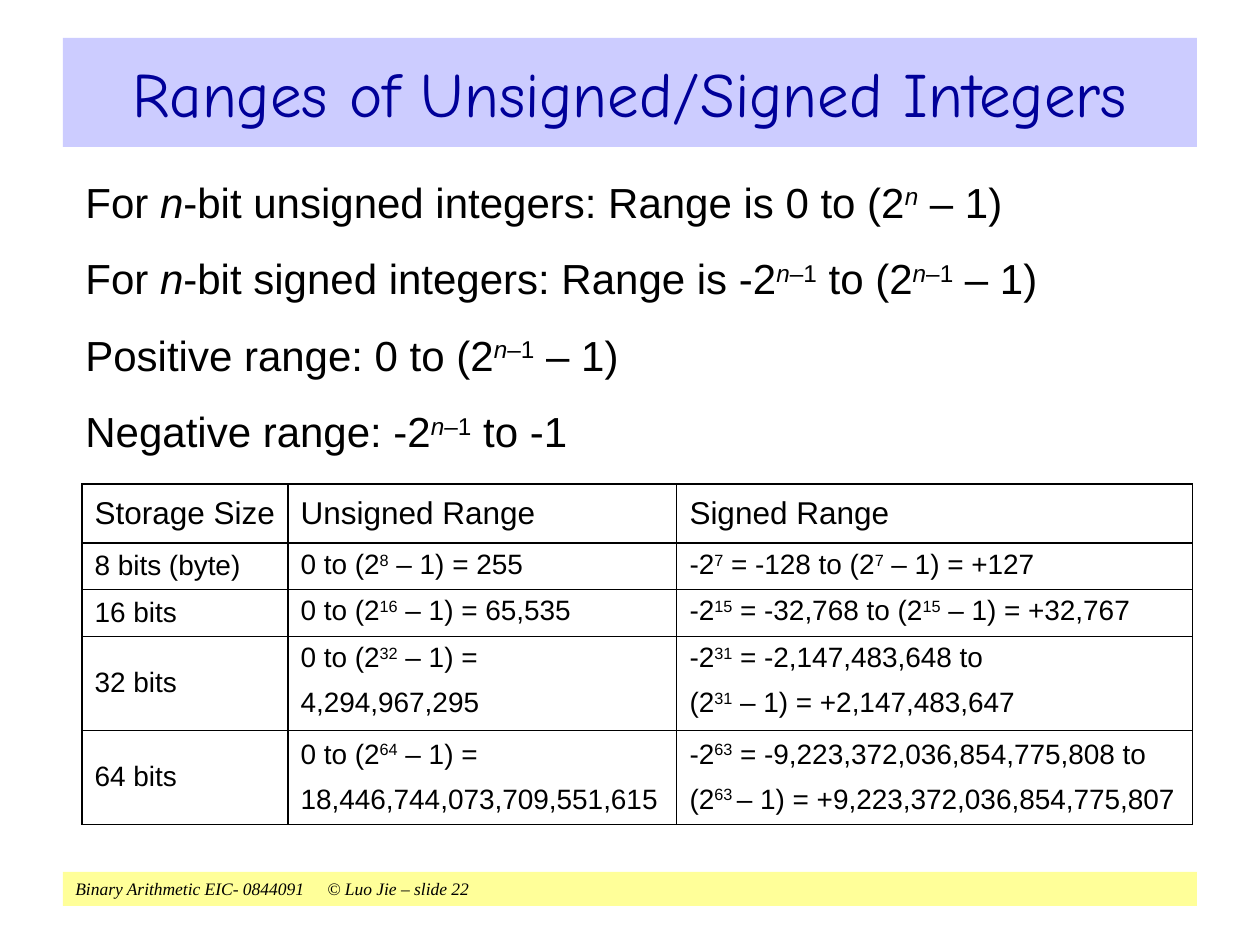
from lxml.etree import SubElement
from pptx import Presentation
from pptx.dml.color import RGBColor
from pptx.enum.shapes import MSO_SHAPE as Shape
from pptx.enum.text import MSO_ANCHOR as Anchor, PP_ALIGN as Align
from pptx.oxml.ns import qn
from pptx.util import Emu, Pt

PX = 914400 // 126
THEME = {
    "ink": "000000", "title": "000099", "title_band": "CCCCFF", "footer_band": "FFFF99",
    "title_font": "Comic Neue", "body_font": "Arial", "footer_font": "Times New Roman",
    "title_size": 36, "body_size": 24, "header_size": 18, "cell_size": 16, "footer_size": 10,
}


def px(*lengths):
    return [Emu(length * PX) for length in lengths]


def write(frame, text, *, size, font=THEME["body_font"], color=THEME["ink"],
          italic=False, align=Align.LEFT, before=0):
    """Fill a text frame; ^ switches superscript on and off, _ switches italics."""
    frame.word_wrap = True
    for index, line in enumerate(text.split("\n")):
        paragraph = frame.paragraphs[0] if index == 0 else frame.add_paragraph()
        paragraph.alignment = align
        paragraph.space_before = Pt(before)
        for level, part in enumerate(line.split("^")):
            for slant, piece in enumerate(part.split("_")):
                if not piece:
                    continue
                run = paragraph.add_run()
                run.text = piece
                run.font.name = font
                run.font.size = Pt(size)
                run.font.color.rgb = RGBColor.from_string(color)
                run.font.italic = italic or slant % 2 == 1
                if level % 2:
                    run.font._element.set("baseline", "30000")


presentation = Presentation()
presentation.slide_width, presentation.slide_height = px(1260, 945)
slide = presentation.slides.add_slide(presentation.slide_layouts[6])

# Footer and title bands
bands = []
for top, height, fill in ((872, 34, "footer_band"), (38, 109, "title_band")):
    band = slide.shapes.add_shape(Shape.RECTANGLE, *px(63, top, 1134, height))
    band.shadow.inherit = False
    band.fill.solid()
    band.fill.fore_color.rgb = RGBColor.from_string(THEME[fill])
    band.line.fill.background()
    bands.append(band.text_frame)
footer, title = bands

footer.vertical_anchor = Anchor.TOP
write(footer, "Binary Arithmetic EIC- 0844091\t© Luo Jie – slide 22", italic=True,
      size=THEME["footer_size"], font=THEME["footer_font"], before=6.2)
tabs = SubElement(footer.paragraphs[0]._p.get_or_add_pPr(), qn("a:tabLst"))
SubElement(tabs, qn("a:tab"), pos=str(252 * PX), algn="l")

title.vertical_anchor = Anchor.MIDDLE
write(title, "Ranges of Unsigned/Signed Integers", size=THEME["title_size"],
      font=THEME["title_font"], color=THEME["title"], align=Align.CENTER)

# Range formulas
formulas = slide.shapes.add_textbox(*px(73, 157, 1113, 319)).text_frame
formulas.margin_top, formulas.margin_bottom = px(19, 19)
write(formulas, "For _n_-bit unsigned integers: Range is 0 to (2^_n_^ – 1)\n"
      "For _n_-bit signed integers: Range is -2^_n_–1^ to (2^_n_–1^ – 1)\n"
      "Positive range: 0 to (2^_n_–1^ – 1)\n"
      "Negative range: -2^_n_–1^ to -1", size=THEME["body_size"], before=15)

# Table of ranges by storage size
ROWS = [
    ("Storage Size", "Unsigned Range", "Signed Range"),
    ("8 bits (byte)", "0 to (2^8^ – 1) = 255", "-2^7^ = -128 to (2^7^ – 1) = +127"),
    ("16 bits", "0 to (2^16^ – 1) = 65,535", "-2^15^ = -32,768 to (2^15^ – 1) = +32,767"),
    ("32 bits", "0 to (2^32^ – 1) =\n4,294,967,295",
     "-2^31^ = -2,147,483,648 to\n(2^31^ – 1) = +2,147,483,647"),
    ("64 bits", "0 to (2^64^ – 1) =\n18,446,744,073,709,551,615",
     "-2^63^ = -9,223,372,036,854,775,808 to\n(2^63 ^– 1) = +9,223,372,036,854,775,807"),
]
WIDTHS = px(206, 389, 516)
HEIGHTS = px(59, 46, 47, 94, 94)
table = slide.shapes.add_table(len(ROWS), len(WIDTHS), *px(82, 484),
                               sum(WIDTHS), sum(HEIGHTS)).table
table.first_row = table.horz_banding = False
for column, width in zip(table.columns, WIDTHS):
    column.width = width

for row_index, texts in enumerate(ROWS):
    table.rows[row_index].height = HEIGHTS[row_index]
    header = row_index == 0
    for column_index, text in enumerate(texts):
        cell = table.cell(row_index, column_index)
        top_aligned = column_index > 0 and row_index in (1, 2, 3)
        cell.vertical_anchor = Anchor.TOP if top_aligned else Anchor.MIDDLE
        write(cell.text_frame, text, before=9 if header else 8,
              size=THEME["header_size" if header else "cell_size"])
        properties = cell._tc.get_or_add_tcPr()
        for side in ("a:lnL", "a:lnR", "a:lnT", "a:lnB"):
            border = SubElement(properties, qn(side), w=str(Pt(0.75)))
            fill = SubElement(border, qn("a:solidFill"))
            SubElement(fill, qn("a:srgbClr"), val=THEME["ink"])
        cell.fill.background()

presentation.save("out.pptx")
